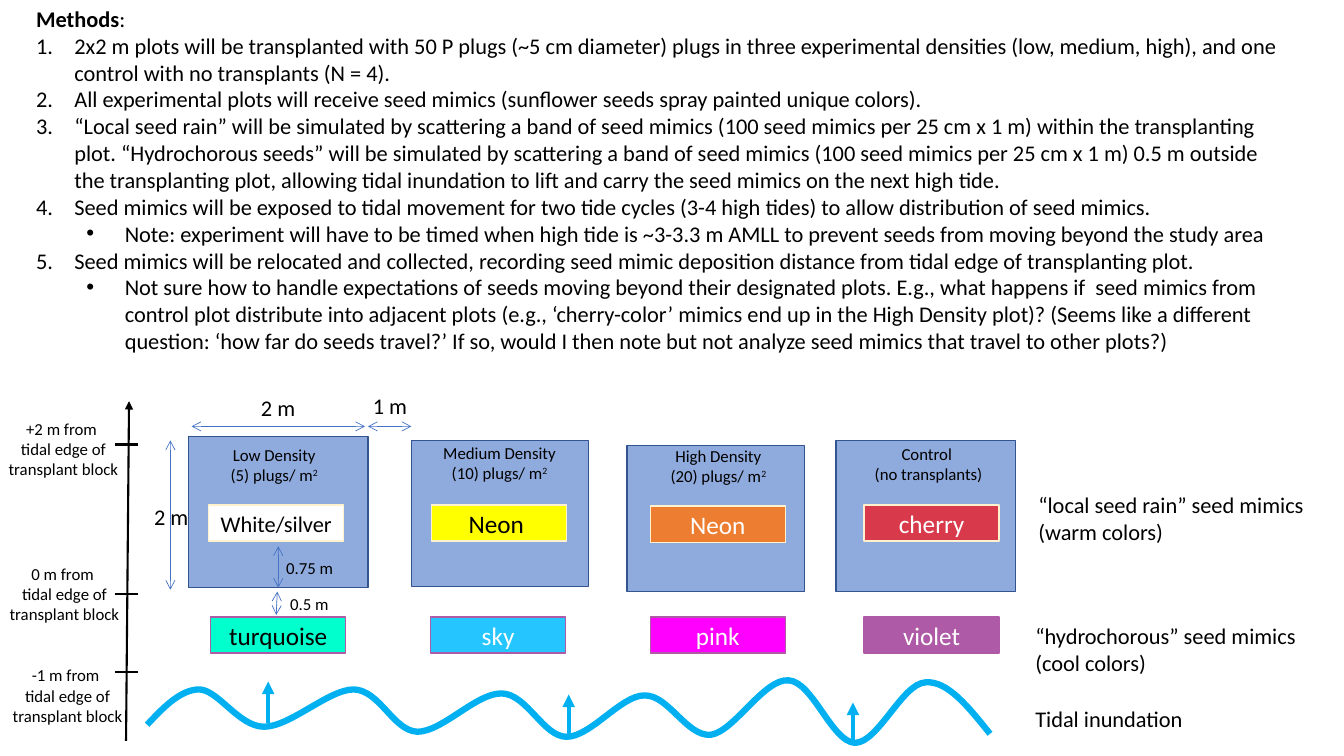
from dataclasses import dataclass
from typing import Optional

from pptx import Presentation
from pptx.dml.color import RGBColor
from pptx.enum.shapes import MSO_CONNECTOR as CONN, MSO_SHAPE as SHAPE
from pptx.enum.text import MSO_ANCHOR as ANCHOR, MSO_AUTO_SIZE as AUTO, PP_ALIGN as ALIGN
from pptx.oxml.ns import qn
from pptx.oxml.xmlchemy import OxmlElement as Element
from pptx.util import Inches, Pt


@dataclass(frozen=True)
class Theme:
    font: str = "Calibri"
    black: str = "000000"
    white: str = "FFFFFF"
    plot: str = "8FAADC"
    plot_edge: str = "325491"
    warm_edge: str = "FFF2CC"
    cool_edge: str = "AE5AA6"
    measure: str = "4472C4"
    tide: str = "00B0F0"
    small: int = 12
    body: int = 16
    large: int = 18


T = Theme()


@dataclass(frozen=True)
class Mimic:
    name: str
    left: float
    top: float
    fill: str
    edge: str
    ink: str = T.white
    size: int = T.large
    alpha: int = 100


@dataclass(frozen=True)
class Plot:
    box: tuple[float, float, float, float]
    text: str
    text_box: tuple[float, float, float, float]
    power: str
    warm: Mimic
    cool: Mimic


@dataclass(frozen=True)
class Measure:
    start: tuple[float, float]
    end: tuple[float, float]
    text: str = ""
    text_box: tuple[float, float, float, float] = (0, 0, 0, 0)
    size: int = T.body


@dataclass(frozen=True)
class Tick:
    distance: str
    y: float
    left: float
    top: float


METHODS = [  # level (None for the heading) and wording
    (None, "Methods"),
    (0, "2x2 m plots will be transplanted with 50 P plugs (~5 cm diameter) plugs in three experimental densities (low, medium, high), and one control with no transplants (N = 4)."),
    (0, "All experimental plots will receive seed mimics (sunflower seeds spray painted unique colors)."),
    (0, "“Local seed rain” will be simulated by scattering a band of seed mimics (100 seed mimics per 25 cm x 1 m) within the transplanting plot. “Hydrochorous seeds” will be simulated by scattering a band of seed mimics (100 seed mimics per 25 cm x 1 m) 0.5 m outside the transplanting plot, allowing tidal inundation to lift and carry the seed mimics on the next high tide."),
    (0, "Seed mimics will be exposed to tidal movement for two tide cycles (3-4 high tides) to allow distribution of seed mimics."),
    (1, "Note: experiment will have to be timed when high tide is ~3-3.3 m AMLL to prevent seeds from moving beyond the study area"),
    (0, "Seed mimics will be relocated and collected, recording seed mimic deposition distance from tidal edge of transplanting plot."),
    (1, "Not sure how to handle expectations of seeds moving beyond their designated plots. E.g., what happens if  seed mimics from control plot distribute into adjacent plots (e.g., ‘cherry-color’ mimics end up in the High Density plot)? (Seems like a different question: ‘how far do seeds travel?’ If so, would I then note but not analyze seed mimics that travel to other plots?)"),
]
PLOTS = [
    Plot((1.87, 4.33, 1.78, 1.5), "Low Density\n(5) plugs/ m", (2.18, 4.36, 1.08, 0.5), "2",
         Mimic("White/silver", 2.07, 5.01, T.white, T.warm_edge, T.black, T.body),
         Mimic("turquoise", 2.09, 6.12, "00FFCC", T.cool_edge, T.black)),
    Plot((4.08, 4.37, 1.76, 1.45), "Medium Density\n(10) plugs/ m", (4.29, 4.34, 1.33, 0.5), "2",
         Mimic("Neon ", 4.28, 5.01, "FFFF00", T.warm_edge, T.black),
         Mimic("sky", 4.27, 6.12, "25C6FF", T.cool_edge)),
    Plot((6.22, 4.42, 1.76, 1.45), "High Density\n(20) plugs/ m", (6.54, 4.37, 1.17, 0.5), "2",
         Mimic("Neon", 6.45, 5.02, "ED7D31", T.warm_edge),
         Mimic("pink", 6.45, 6.12, "FF00FF", T.cool_edge)),
    Plot((8.29, 4.37, 1.78, 1.5), "Control \n(no transplants)", (8.57, 4.35, 1.28, 0.5), "",
         Mimic("cherry", 8.57, 5.01, "FF0000", T.warm_edge, alpha=66),
         Mimic("violet", 8.57, 6.12, T.cool_edge, T.cool_edge)),
]
MEASURES = [
    Measure((1.9, 4.23), (3.62, 4.23), "2 m", (2.49, 3.86, 0.55, 0.37)),
    Measure((1.69, 5.85), (1.69, 4.37), "2 m", (1.43, 4.94, 0.55, 0.37)),
    Measure((3.65, 4.23), (4.08, 4.23), "1 m", (3.6, 3.84, 0.55, 0.37)),
    Measure((2.76, 5.42), (2.76, 5.83), "0.75 m", (2.74, 5.48, 0.68, 0.3), T.small),
    Measure((2.75, 5.87), (2.74, 6.1), "0.5 m", (2.78, 5.84, 0.59, 0.3), T.small),
]
TICKS = [Tick("0 m", 5.89, -0.01, 5.54), Tick("+2 m", 4.41, -0.02, 4.1), Tick("-1 m", 6.67, 0.02, 6.55)]
ROW_NOTES = [
    ("“hydrochorous” seed mimics\n(cool colors)", (10.17, 6.12, 2.82, 0.64)),
    ("“local seed rain” seed mimics\n(warm colors)", (10.2, 4.82, 2.87, 0.64)),
]
TIDE_ARROWS = [(5.64, 7.3), (8.46, 7.38), (2.66, 7.17)]
# Start point, then two handles and an end point for each curve
WAVE = [
    (1.46, 7.19), (1.62, 7.02), (1.79, 6.84), (1.98, 6.84), (2.17, 6.85), (2.37, 7.21), (2.62, 7.21),
    (2.88, 7.21), (3.26, 6.84), (3.51, 6.84), (3.77, 6.85), (3.9, 7.25), (4.14, 7.26),
    (4.39, 7.26), (4.73, 6.87), (4.98, 6.88), (5.23, 6.89), (5.39, 7.31), (5.62, 7.31),
    (5.86, 7.31), (6.16, 6.9), (6.39, 6.9), (6.63, 6.89), (6.81, 7.31), (7.05, 7.29),
    (7.28, 7.26), (7.58, 6.73), (7.82, 6.75), (8.06, 6.76), (8.25, 7.36), (8.48, 7.37),
    (8.71, 7.37), (8.95, 6.78), (9.18, 6.77), (9.4, 6.75), (9.61, 7.02), (9.82, 7.28),
]


def style_runs(tf, size: int, ink: str, align: Optional[ALIGN] = None) -> None:
    for p in tf.paragraphs:
        p.alignment = align
        for r in p.runs:
            r.font.name, r.font.size = T.font, Pt(size)
            r.font.color.rgb = RGBColor.from_string(ink)


def add_label(shapes, box: tuple, text: str, size: int = T.body,
              align: Optional[ALIGN] = None, power: str = "") -> None:
    tf = shapes.add_textbox(*map(Inches, box)).text_frame
    tf.text, tf.word_wrap, tf.auto_size = text, False, AUTO.SHAPE_TO_FIT_TEXT
    if power:
        r = tf.paragraphs[-1].add_run()
        r.text = power
        r.font._element.set("baseline", "30000")
    style_runs(tf, size, T.black, align)


def add_rect(shapes, box: tuple, fill: str, edge: str, alpha: int = 100):
    sp = shapes.add_shape(SHAPE.RECTANGLE, *map(Inches, box))
    sp.shadow.inherit = False
    sp.fill.solid()
    sp.fill.fore_color.rgb = RGBColor.from_string(fill)
    sp.line.color.rgb, sp.line.width = RGBColor.from_string(edge), Pt(1)
    if alpha < 100:
        clr = sp.element.spPr.find(qn("a:solidFill")).find(qn("a:srgbClr"))
        node = Element("a:alpha")
        node.set("val", str(alpha * 1000))
        clr.append(node)
    return sp


def add_mimic(shapes, m: Mimic) -> None:
    sp = add_rect(shapes, (m.left, m.top, 1.34, 0.36), m.fill, m.edge, m.alpha)
    sp.text_frame.text, sp.text_frame.vertical_anchor = m.name, ANCHOR.MIDDLE
    style_runs(sp.text_frame, m.size, m.ink, ALIGN.CENTER)


def add_line(shapes, start: tuple, end: tuple, ink: str, width: float, head: str = "", tail: str = "") -> None:
    c = shapes.add_connector(CONN.STRAIGHT, *map(Inches, start + end))
    c.line.color.rgb, c.line.width = RGBColor.from_string(ink), Pt(width)
    for tag, kind in (("a:headEnd", head), ("a:tailEnd", tail)):
        if kind:
            node = Element(tag)
            node.set("type", kind)
            c.element.spPr.find(qn("a:ln")).append(node)
    c.element.spPr.append(Element("a:effectLst"))


def add_wave(shapes) -> None:
    points = [(Inches(x), Inches(y)) for x, y in WAVE]
    fb = shapes.build_freeform(*points[0], scale=1.0)
    fb.add_line_segments(points[1:], close=False)
    sp = fb.convert_to_shape()
    sp.shadow.inherit = False
    sp.fill.background()
    sp.line.color.rgb, sp.line.width = RGBColor.from_string(T.tide), Pt(4.5)
    # Each three straight segments become one Bézier curve
    segments = list(sp.element.iter(qn("a:lnTo")))
    for i in range(0, len(segments), 3):
        curve = Element("a:cubicBezTo")
        segments[i].addprevious(curve)
        for seg in segments[i:i + 3]:
            curve.append(seg[0])
            seg.getparent().remove(seg)


def add_methods(shapes) -> None:
    tf = shapes.add_textbox(*map(Inches, (0.26, 0, 12.53, 3.87))).text_frame
    tf.text = "\n".join(text for _, text in METHODS)
    tf.word_wrap, tf.auto_size = True, AUTO.SHAPE_TO_FIT_TEXT
    tf.paragraphs[0].runs[0].font.bold = True
    tf.paragraphs[0].add_run().text = ":"
    style_runs(tf, T.body, T.black)
    for p, (level, _) in zip(tf.paragraphs, METHODS):
        if level is None:
            continue
        p.level = level
        pPr = p._p.get_or_add_pPr()
        pPr.set("marL", str(Inches(0.38 + 0.5 * level)))
        pPr.set("indent", str(Inches(-0.38)))
        marks = [("a:buFont", "typeface", "Arial"), ("a:buChar", "char", "•")] if level else [
            ("a:buFont", "typeface", "+mj-lt"), ("a:buAutoNum", "type", "arabicPeriod")]
        for tag, key, value in marks:
            node = Element(tag)
            node.set(key, value)
            pPr.append(node)


def main() -> None:
    prs = Presentation()
    prs.slide_width, prs.slide_height = Inches(13.33), Inches(7.5)
    shapes = prs.slides.add_slide(prs.slide_layouts[6]).shapes

    # Tide
    add_wave(shapes)
    add_label(shapes, (10.17, 6.95, 1.68, 0.37), "Tidal inundation")
    for x, y in TIDE_ARROWS:
        add_line(shapes, (x, y), (x, y - 0.41), T.tide, 3, tail="triangle")

    add_methods(shapes)

    # Plots, seed mimics and distances
    diagram = shapes.add_group_shape().shapes
    for plot in PLOTS:
        add_rect(diagram, plot.box, T.plot, T.plot_edge)
        add_mimic(diagram, plot.warm)
        add_mimic(diagram, plot.cool)
        add_label(diagram, plot.text_box, plot.text, T.small, ALIGN.CENTER, plot.power)
    for m in MEASURES:
        add_line(diagram, m.start, m.end, T.measure, 0.5, "arrow", "arrow")
        add_label(diagram, m.text_box, m.text, m.size)
    for text, box in ROW_NOTES:
        add_label(diagram, box, text)

    # Distance axis
    axis = shapes.add_group_shape().shapes
    add_line(axis, (1.25, 7.35), (1.28, 3.98), T.black, 1.5, tail="triangle")
    for tick in TICKS:
        add_line(axis, (1.37, tick.y), (1.14, tick.y), T.black, 1.5)
        add_label(shapes, (tick.left, tick.top, 1.3, 0.71),
                  f"{tick.distance} from \ntidal edge of\ntransplant block", T.small, ALIGN.CENTER)

    prs.save("out.pptx")


if __name__ == "__main__":
    main()
